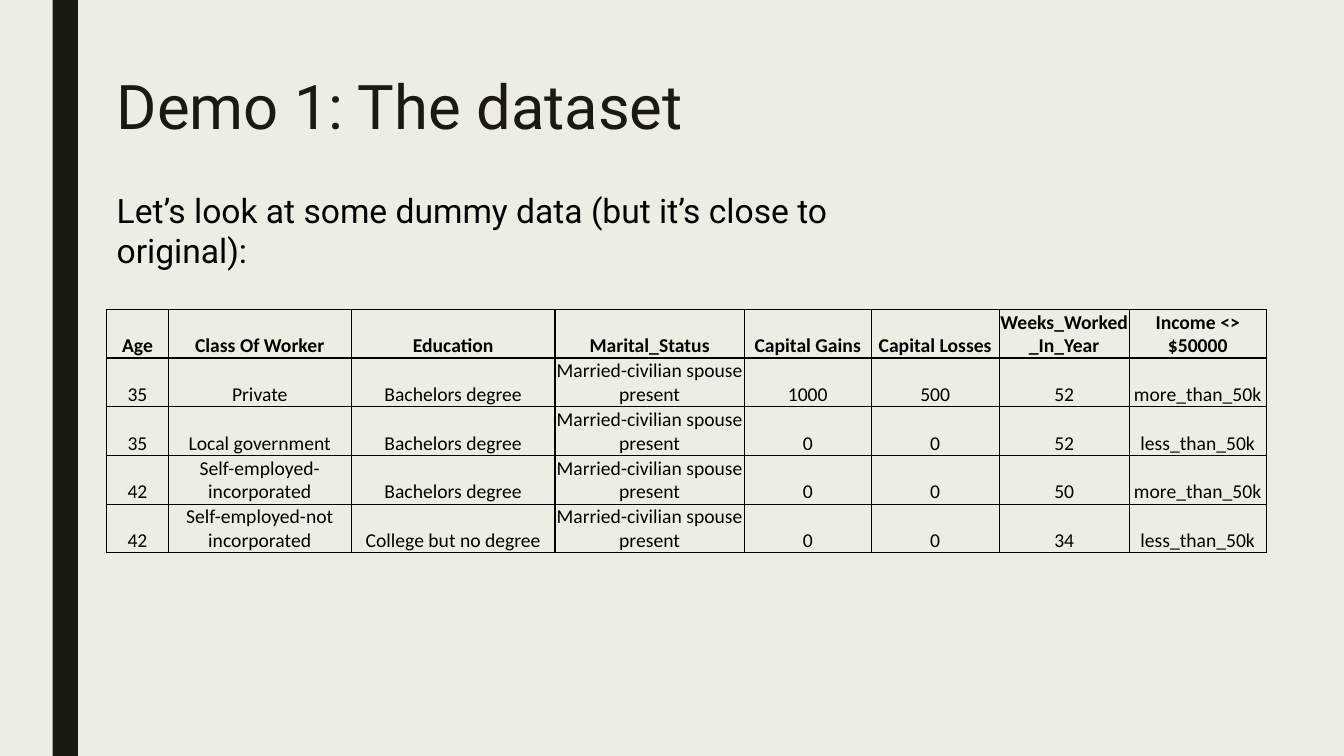
from lxml.etree import SubElement
from pptx import Presentation
from pptx.dml.color import RGBColor
from pptx.enum.shapes import MSO_SHAPE
from pptx.enum.text import MSO_ANCHOR, PP_ALIGN
from pptx.oxml.ns import qn
from pptx.util import Pt

# Content
TITLE = "Demo 1: The dataset"
INTRO = "Let’s look at some dummy data (but it’s close to original):"
HEADS = ("Age", "Class Of Worker", "Education", "Marital_Status", "Capital Gains",
         "Capital Losses", "Weeks_Worked_In_Year", "Income <> $50000")
BACH = "Bachelors degree"
WED = "Married-civilian spouse present"
PEOPLE = [
    ("35", "Private", BACH, WED, "1000", "500", "52", "more_than_50k"),
    ("35", "Local government", BACH, WED, "0", "0", "52", "less_than_50k"),
    ("42", "Self-employed-incorporated", BACH, WED, "0", "0", "50", "more_than_50k"),
    ("42", "Self-employed-not incorporated", "College but no degree", WED,
     "0", "0", "34", "less_than_50k"),
]
COLORS = {"paper": "EFEDE3", "dark": "191B0E", "ink": "000000"}

# Layout in points
WIDE, HIGH = 960, 540
LEFT = 76.3
COLS = (43.8, 130.9, 145.5, 135.2, 90.7, 91.4, 92.9, 97.9)
ROW = 34.8


def color(name):
    return RGBColor.from_string(COLORS[name])


def style(para, font, size, name, bold=False):
    for run in para.runs:
        run.font.name = font
        run.font.size = Pt(size)
        run.font.bold = bold
        run.font.color.rgb = color(name)


def border(cell):
    props = cell._tc.get_or_add_tcPr()
    for spot, side in enumerate(("lnL", "lnR", "lnT", "lnB")):
        line = SubElement(props, qn("a:" + side), w=str(Pt(1)))
        fill = SubElement(line, qn("a:solidFill"))
        SubElement(fill, qn("a:srgbClr"), val=COLORS["ink"])
        props.insert(spot, line)


deck = Presentation()
deck.slide_width, deck.slide_height = Pt(WIDE), Pt(HIGH)
slide = deck.slides.add_slide(deck.slide_layouts[5])

# Background and side bar
slide.background.fill.solid()
slide.background.fill.fore_color.rgb = color("paper")
bar = slide.shapes.add_shape(MSO_SHAPE.RECTANGLE, Pt(37.6), 0, Pt(18), Pt(HIGH))
bar.shadow.inherit = False
bar.fill.solid()
bar.fill.fore_color.rgb = color("dark")
bar.line.fill.background()

# Title
title = slide.shapes.title
title.left, title.top = Pt(LEFT), Pt(51)
title.width, title.height = Pt(756), Pt(117)
frame = title.text_frame
frame.text = TITLE
frame.vertical_anchor = MSO_ANCHOR.TOP
head = frame.paragraphs[0]
head.alignment = PP_ALIGN.LEFT
head.line_spacing = 0.89
style(head, "Roboto", 44, "dark")

# Table
rows = [HEADS] + PEOPLE
table = slide.shapes.add_table(len(rows), len(COLS), Pt(LEFT), Pt(221),
                               Pt(sum(COLS)), Pt(ROW * len(rows))).table
table.first_row = table.horz_banding = False
for col, width in zip(table.columns, COLS):
    col.width = Pt(width)
for r, texts in enumerate(rows):
    table.rows[r].height = Pt(ROW)
    for c, text in enumerate(texts):
        cell = table.cell(r, c)
        cell.text = text
        cell.fill.background()
        cell.vertical_anchor = MSO_ANCHOR.BOTTOM
        cell.margin_left = cell.margin_right = cell.margin_top = Pt(0.7)
        cell.margin_bottom = 0
        para = cell.text_frame.paragraphs[0]
        para.alignment = PP_ALIGN.CENTER
        style(para, "Calibri", 14, "ink", bold=r == 0)
        border(cell)

# Intro line
intro = slide.shapes.add_textbox(Pt(LEFT), Pt(132), Pt(592), Pt(36)).text_frame
intro.word_wrap = True
intro.text = INTRO
style(intro.paragraphs[0], "Roboto", 24, "ink")

deck.save("out.pptx")
